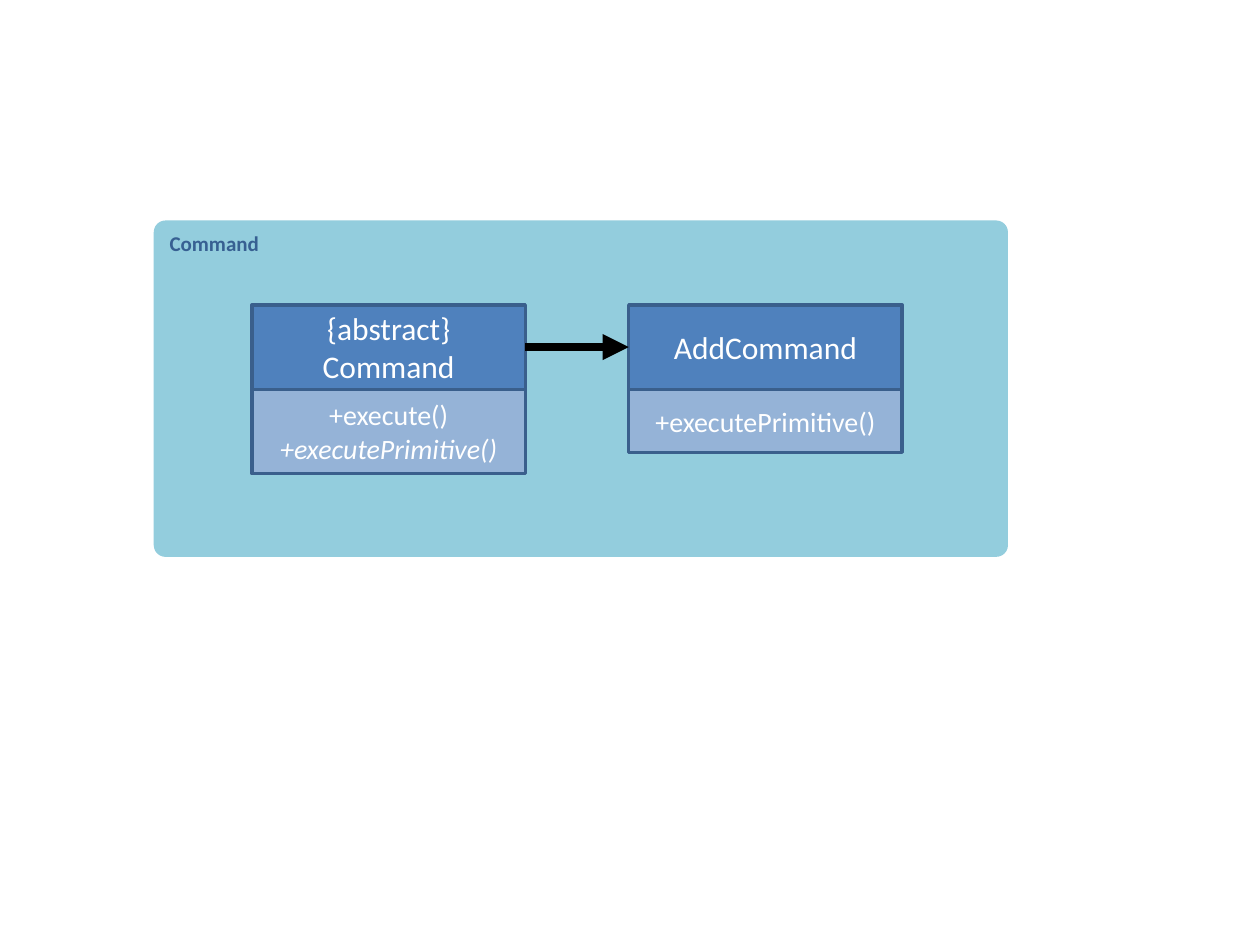
from lxml import etree
from pptx import Presentation
from pptx.dml.color import RGBColor
from pptx.enum import shapes, text
from pptx.oxml.ns import qn
from pptx.util import Inches, Pt

COLORS = {
    "package": "93CDDD", "package_title": "376092",
    "header": "4F81BD", "body": "95B3D7", "border": "3A5F8C",
    "label": "FFFFFF", "arrow": "000000",
}
FONT = "Calibri"
PACKAGE_TITLE = "Command"
# Each class: left, name, operations as (text, is abstract), height of operations
CLASSES = [
    (2, "{abstract} Command",
     [("+execute()", False), ("+executePrimitive()", True)], 0.67),
    (4.99, "AddCommand", [("+executePrimitive()", False)], 0.5),
]
CLASS_TOP, CLASS_WIDTH, HEADER_HEIGHT = 2.42, 2.17, 0.67


def rgb(name):
    return RGBColor.from_string(COLORS[name])


def add_box(slide, kind, left, top, width, height, fill):
    shape = slide.shapes.add_shape(
        kind, Inches(left), Inches(top), Inches(width), Inches(height))
    shape.shadow.inherit = False
    shape.fill.solid()
    shape.fill.fore_color.rgb = rgb(fill)
    shape.line.fill.background()
    return shape


def style_paragraph(paragraph, size, color, alignment, bold=False, italic=False):
    paragraph.alignment = alignment
    for run in paragraph.runs:
        font = run.font
        font.name, font.size = FONT, Pt(size)
        font.bold, font.italic = bold, italic
        font.color.rgb = rgb(color)


def add_package(slide):
    shape = add_box(slide, shapes.MSO_SHAPE.ROUNDED_RECTANGLE,
                    1.22, 1.75, 6.78, 2.67, "package")
    shape.adjustments[0] = 0.035
    frame = shape.text_frame
    frame.text = PACKAGE_TITLE
    frame.vertical_anchor = text.MSO_ANCHOR.TOP
    style_paragraph(frame.paragraphs[0], 12, "package_title",
                    text.PP_ALIGN.LEFT, bold=True)


def add_compartment(slide, left, top, height, fill, size, lines):
    shape = add_box(slide, shapes.MSO_SHAPE.RECTANGLE,
                    left, top, CLASS_WIDTH, height, fill)
    shape.line.color.rgb = rgb("border")
    shape.line.width = Pt(2)
    frame = shape.text_frame
    frame.word_wrap = True
    frame.vertical_anchor = text.MSO_ANCHOR.MIDDLE
    frame.text = "\n".join(line for line, _ in lines)
    for paragraph, (_, italic) in zip(frame.paragraphs, lines):
        style_paragraph(paragraph, size, "label", text.PP_ALIGN.CENTER,
                        italic=italic)
    return shape


def add_class(slide, left, name, operations, operations_height):
    """Draw one class and return its header."""
    header = add_compartment(slide, left, CLASS_TOP, HEADER_HEIGHT,
                             "header", 18, [(name, False)])
    add_compartment(slide, left, CLASS_TOP + HEADER_HEIGHT, operations_height,
                    "body", 16, operations)
    return header


def add_arrow(slide, source, target):
    arrow = slide.shapes.add_connector(
        shapes.MSO_CONNECTOR.STRAIGHT, 0, 0, 0, 0)
    arrow.begin_connect(source, 3)
    arrow.end_connect(target, 1)
    arrow.line.color.rgb = rgb("arrow")
    arrow.line.width = Pt(5)
    etree.SubElement(arrow.line._get_or_add_ln(), qn("a:tailEnd"), type="triangle")
    etree.SubElement(arrow._element.spPr, qn("a:effectLst"))


def main():
    presentation = Presentation()
    presentation.slide_width, presentation.slide_height = Inches(10), Inches(7.5)
    slide = presentation.slides.add_slide(presentation.slide_layouts[6])
    add_package(slide)
    command, add_command = [add_class(slide, *item) for item in CLASSES]
    add_arrow(slide, command, add_command)
    presentation.save("out.pptx")


if __name__ == "__main__":
    main()
